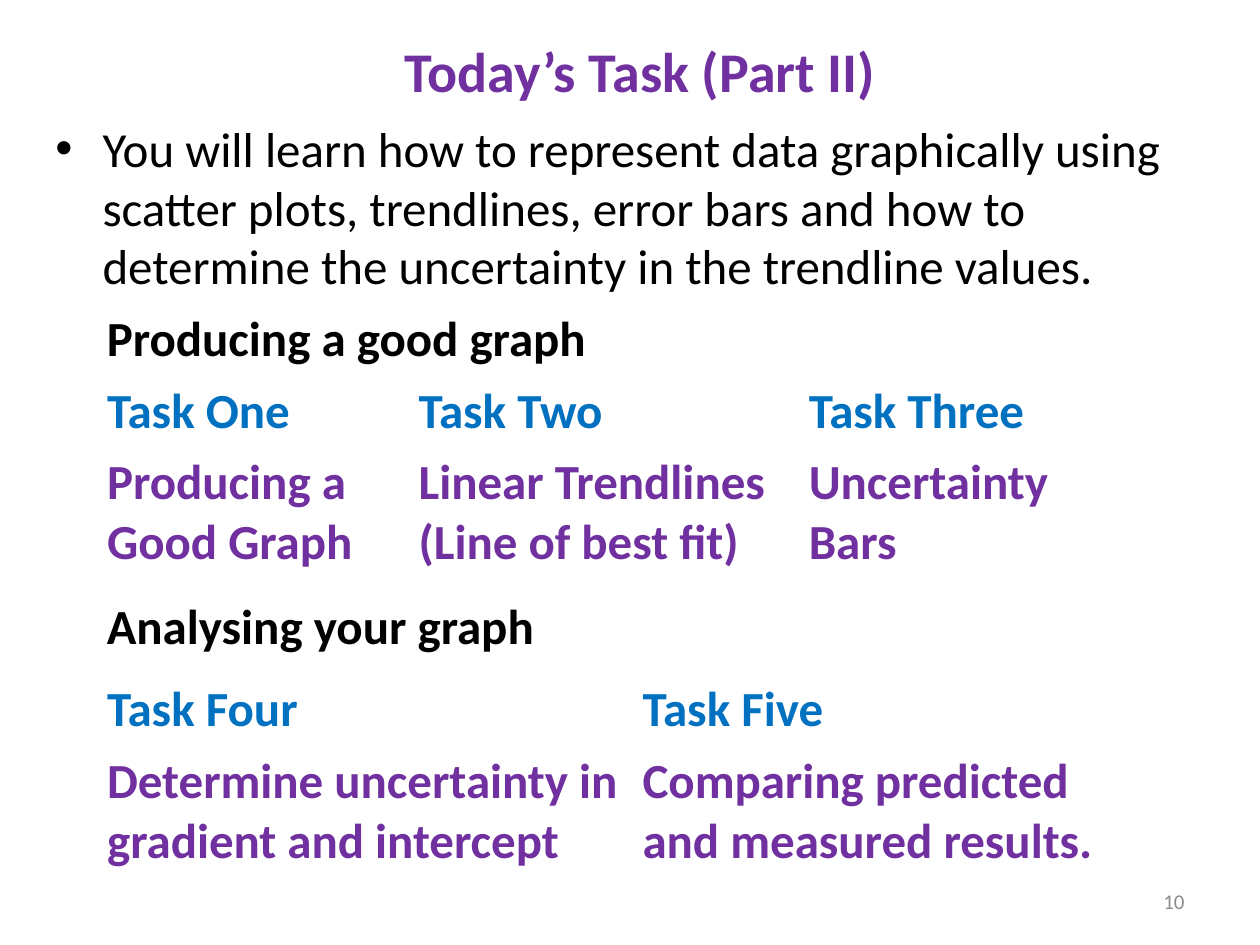
from lxml import etree
from pptx import Presentation
from pptx.dml.color import RGBColor
from pptx.enum.text import MSO_ANCHOR as ANCHOR, PP_ALIGN as ALIGN
from pptx.oxml.ns import qn
from pptx.util import Pt

COLORS = {"title": "7030A0", "task": "0070C0", "detail": "7030A0",
          "text": "000000", "number": "8C8C8C"}
LEFT = 54
ROW_HEIGHT = 29.5


def write(tf, text, color="text", size=28, bold=False, align=ALIGN.LEFT,
          anchor=ANCHOR.TOP, bullet=False):
    tf.word_wrap = True
    tf.vertical_anchor = anchor
    for i, line in enumerate(text.split("\n")):
        p = tf.add_paragraph() if i else tf.paragraphs[0]
        p.alignment = align
        if bullet:
            pPr = p._p.get_or_add_pPr()
            pPr.set("marL", str(Pt(27)))
            pPr.set("indent", str(Pt(-27)))
            etree.SubElement(pPr, qn("a:buFont")).set("typeface", "Arial")
            etree.SubElement(pPr, qn("a:buChar")).set("char", "•")
        r = p.add_run()
        r.text = line
        r.font.name = "Calibri"
        r.font.size = Pt(size)
        r.font.bold = bold
        r.font.color.rgb = RGBColor.from_string(COLORS[color])


def add_title(slide, box, text):
    sp = slide.shapes.title
    sp.left, sp.top, sp.width, sp.height = map(Pt, box)
    write(sp.text_frame, text, color="title", size=32, bold=True,
          align=ALIGN.CENTER, anchor=ANCHOR.MIDDLE)


def add_text(slide, box, text, **fmt):
    sp = slide.shapes.add_textbox(*map(Pt, box))
    write(sp.text_frame, text, **fmt)


def add_tasks(slide, box, widths, tasks):
    frame = slide.shapes.add_table(2, len(tasks), *map(Pt, box))
    table = frame.table
    table.first_row = table.horz_banding = False
    for row in table.rows:
        row.height = Pt(ROW_HEIGHT)
    for c, (width, texts) in enumerate(zip(widths, tasks)):
        table.columns[c].width = Pt(width)
        for r, (text, color) in enumerate(zip(texts, ("task", "detail"))):
            cell = table.cell(r, c)
            cell.fill.background()
            write(cell.text_frame, text, color=color, bold=True)
    frame.height = Pt(box[3])


def build_slide(prs):
    slide = prs.slides.add_slide(prs.slide_layouts[5])
    add_title(slide, (11.5, -5, 708.5, 90), "Today’s Task (Part II)")
    add_text(slide, (516, 500.5, 168, 28.75), "10", color="number", size=12,
             align=ALIGN.RIGHT, anchor=ANCHOR.MIDDLE)
    add_text(slide, (24.5, 64, 677, 109),
             "You will learn how to represent data graphically using scatter "
             "plots, trendlines, error bars and how to determine the "
             "uncertainty in the trendline values.", bullet=True)
    add_tasks(slide, (LEFT, 214.5, 554.5, 149), (178, 223, 153.5), [
        ("Task One", "Producing a Good Graph"),
        ("Task Two", "Linear Trendlines\n(Line of best fit)"),
        ("Task Three", "Uncertainty Bars")])
    add_tasks(slide, (LEFT, 385, 612, 115), (306, 306), [
        ("Task Four", "Determine uncertainty in gradient and intercept"),
        ("Task Five", "Comparing predicted and measured results.")])
    for top, text in ((172, "Producing a good graph"),
                      (337, "Analysing your graph")):
        add_text(slide, (LEFT, top, 402, 41), text, bold=True)


def main():
    prs = Presentation()
    prs.slide_width, prs.slide_height = Pt(720), Pt(540)
    build_slide(prs)
    prs.save("out.pptx")


if __name__ == "__main__":
    main()
